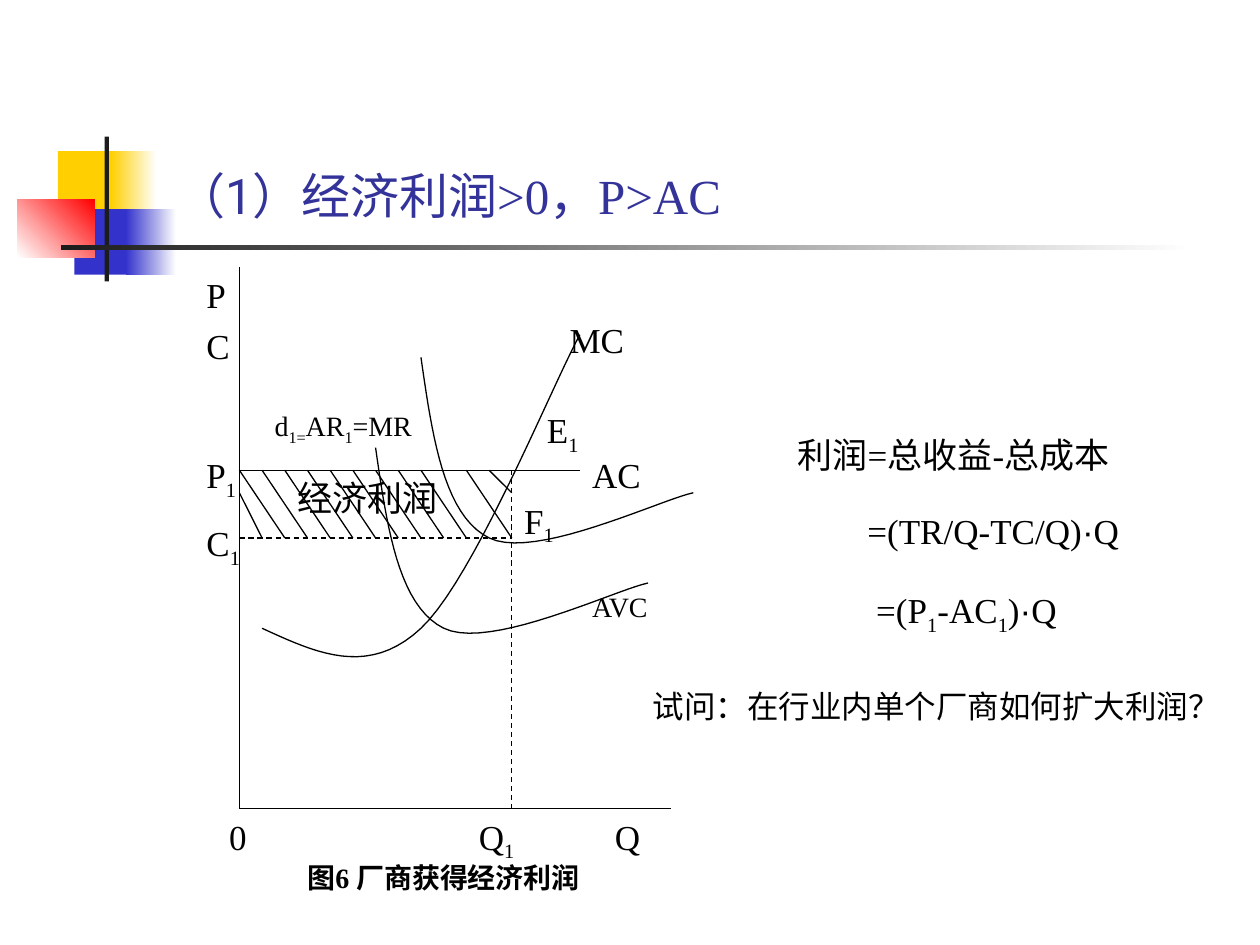
from dataclasses import dataclass

import lxml.etree
import pptx
import pptx.dml.color
import pptx.enum.dml
import pptx.enum.shapes
import pptx.enum.text
import pptx.oxml.ns
import pptx.slide
import pptx.util

Pt = pptx.util.Pt
ALIGN = pptx.enum.text.PP_ALIGN
ANCHOR = pptx.enum.text.MSO_ANCHOR

SUBSCRIPT_ONE = ("1", {"subscript": True})
DOT = ("·", {"font": "Arial"})


def color(value):
    return pptx.dml.color.RGBColor.from_string(value)


def grid(column, row):
    return 136.8 + 12.97 * column, 152.6 + 12.9 * row


def add_runs(paragraph, text, *, font, size, ink, bold=False, subscript=False):
    for part in [text] if isinstance(text, str) else text:
        words, changes = (part, {}) if isinstance(part, str) else part
        run = paragraph.add_run()
        run.text = words
        run.font.name = changes.get("font", font)
        run.font.size = Pt(size)
        run.font.bold = bold
        run.font.color.rgb = color(ink)
        if changes.get("subscript", subscript):
            run._r.get_or_add_rPr().set("baseline", "-25000")


def bezier(start, *segments):
    points = [start]
    steps = 20
    for first, second, end in segments:
        begin = points[-1]
        for step in range(1, steps + 1):
            t = step / steps
            weights = ((1 - t) ** 3, 3 * t * (1 - t) ** 2, 3 * t * t * (1 - t), t ** 3)
            corners = (begin, first, second, end)
            points.append(tuple(
                sum(weight * corner[axis] for weight, corner in zip(weights, corners))
                for axis in (0, 1)))
    return points


@dataclass
class Painter:
    slide: pptx.slide.Slide
    font: str = "Times New Roman"
    ink: str = "000000"
    line_width: float = 0.75

    def block(self, left, top, width, height, start, end=None, angle=0):
        shape = self.slide.shapes.add_shape(
            pptx.enum.shapes.MSO_SHAPE.RECTANGLE, Pt(left), Pt(top), Pt(width), Pt(height))
        shape.shadow.inherit = False
        shape.line.fill.background()
        if end is None:
            shape.fill.solid()
            shape.fill.fore_color.rgb = color(start)
        else:
            shape.fill.gradient()
            shape.fill.gradient_angle = angle
            for stop, value in zip(shape.fill.gradient_stops, (start, end)):
                stop.color.rgb = color(value)

    def text(self, left, top, width, height, paragraphs, *, size=20, font=None, ink=None,
             bold=False, align=ALIGN.LEFT, anchor=ANCHOR.TOP, spacing=None, indents=()):
        frame = self.slide.shapes.add_textbox(
            Pt(left), Pt(top), Pt(width), Pt(height)).text_frame
        frame.word_wrap = True
        frame.vertical_anchor = anchor
        for index, content in enumerate(paragraphs):
            paragraph = frame.add_paragraph() if index else frame.paragraphs[0]
            paragraph.alignment = align
            if spacing:
                paragraph.line_spacing = spacing
            if index:
                paragraph.space_before = Pt(5)
            if indents:
                paragraph._p.get_or_add_pPr().set("marL", str(Pt(indents[index])))
            add_runs(paragraph, content, font=font or self.font, size=size,
                     ink=ink or self.ink, bold=bold)

    def label(self, column, row, *paragraphs, columns=4, rows=3, **style):
        self.text(*grid(column, row), 12.97 * columns, 12.9 * rows, paragraphs, **style)

    def line(self, start, end, dashed=False):
        ends = [Pt(value) for value in grid(*start) + grid(*end)]
        connector = self.slide.shapes.add_connector(
            pptx.enum.shapes.MSO_CONNECTOR.STRAIGHT, *ends)
        connector.line.color.rgb = color(self.ink)
        connector.line.width = Pt(self.line_width)
        if dashed:
            connector.line.dash_style = pptx.enum.dml.MSO_LINE.DASH
        lxml.etree.SubElement(connector._element.spPr, pptx.oxml.ns.qn("a:effectLst"))

    def curve(self, points):
        places = [tuple(Pt(value) for value in grid(*point)) for point in points]
        builder = self.slide.shapes.build_freeform(*places[0])
        builder.add_line_segments(places[1:], close=False)
        shape = builder.convert_to_shape()
        shape.shadow.inherit = False
        shape.fill.background()
        shape.line.color.rgb = color(self.ink)
        shape.line.width = Pt(self.line_width)


def draw_header(painter):
    painter.block(33.1, 86.4, 34.6, 37.4, "FFCF01")
    painter.block(63.4, 86.4, 25.9, 37.4, "FFCF01", "FFFFFF")
    painter.block(42.5, 119.5, 33.1, 37.4, "3333CC")
    painter.block(72, 119.5, 28.8, 37.4, "3333CC", "FFFFFF")
    painter.block(10, 113.8, 44, 33.1, "FFFFFF", "FF0000", angle=45)
    painter.block(59.8, 78, 2.5, 82.8, "1C1C1C")
    painter.block(34.8, 140.2, 648, 2.5, "1C1C1C", "FFFFFF")
    painter.text(93.6, 71.3, 436.3, 60.5,
                 [[("（1）经济利润", {"font": "Roboto"}), ">0，P>AC"]],
                 size=28, ink="333399", anchor=ANCHOR.BOTTOM)


def draw_diagram(painter):
    painter.line((0, 0), (0, 24))
    painter.line((0, 24), (19, 24))
    painter.line((0, 9), (15, 9))
    painter.line((0, 12), (12, 12), dashed=True)
    painter.line((12, 9), (12, 24), dashed=True)

    for column in (*range(9), 10):
        painter.line((column, 9), (column + 2, 12))
    painter.line((0, 10), (1, 12))
    painter.line((11, 9), (12, 10))

    average_cost = bezier((8, 4), ((8.5, 7.5), (9, 11), (11, 12)),
                          ((13, 13), (18.5, 10.33), (20, 10)))
    painter.curve(average_cost)
    painter.curve([(column - 2, row + 4) for column, row in average_cost])
    painter.curve(bezier((1, 16), ((3.33, 17.07), (5.67, 18.2), (8, 16)),
                         ((10.33, 13.83), (13.83, 5.13), (15, 3))))

    painter.label(-2, 0, "P", "C")
    painter.label(-2, 8, ["P", SUBSCRIPT_ONE])
    painter.label(-2, 11, ["C", SUBSCRIPT_ONE])
    painter.label(-1, 24, "0")
    painter.label(10, 24, ["Q", SUBSCRIPT_ONE])
    painter.label(16, 24, "Q")
    painter.label(14, 2, "MC")
    painter.label(15, 8, "AC")
    painter.label(15, 14, "AVC", size=16)
    painter.label(13, 6, ["E", SUBSCRIPT_ONE], columns=3)
    painter.label(12, 10, ["F", SUBSCRIPT_ONE], columns=3)
    painter.label(1, 6, ["d", ("1=", {"subscript": True}), "AR", SUBSCRIPT_ONE, "=MR"],
                  columns=11, size=16)
    painter.label(2, 9, "经济利润", columns=8)
    painter.label(1, 26, "图6 厂商获得经济利润", columns=16, size=16, bold=True,
                  align=ALIGN.CENTER)


def draw_formulas(painter):
    painter.text(448.6, 229.7, 234, 145.4, [
        "利润=总收益-总成本",
        ["=(TR/Q-TC/Q)", DOT, "Q"],
        ["=(P", SUBSCRIPT_ONE, "-AC", SUBSCRIPT_ONE, ")", DOT, "Q"],
    ], spacing=1.6, indents=(0, 40, 45))
    painter.text(365.8, 388.8, 340, 55.4, ["试问：在行业内单个厂商如何扩大利润？"],
                 size=18, font="Arial")


def main():
    presentation = pptx.Presentation()
    presentation.slide_width = Pt(720)
    presentation.slide_height = Pt(540)
    painter = Painter(presentation.slides.add_slide(presentation.slide_layouts[6]))
    draw_header(painter)
    draw_diagram(painter)
    draw_formulas(painter)
    presentation.save("out.pptx")


if __name__ == "__main__":
    main()
